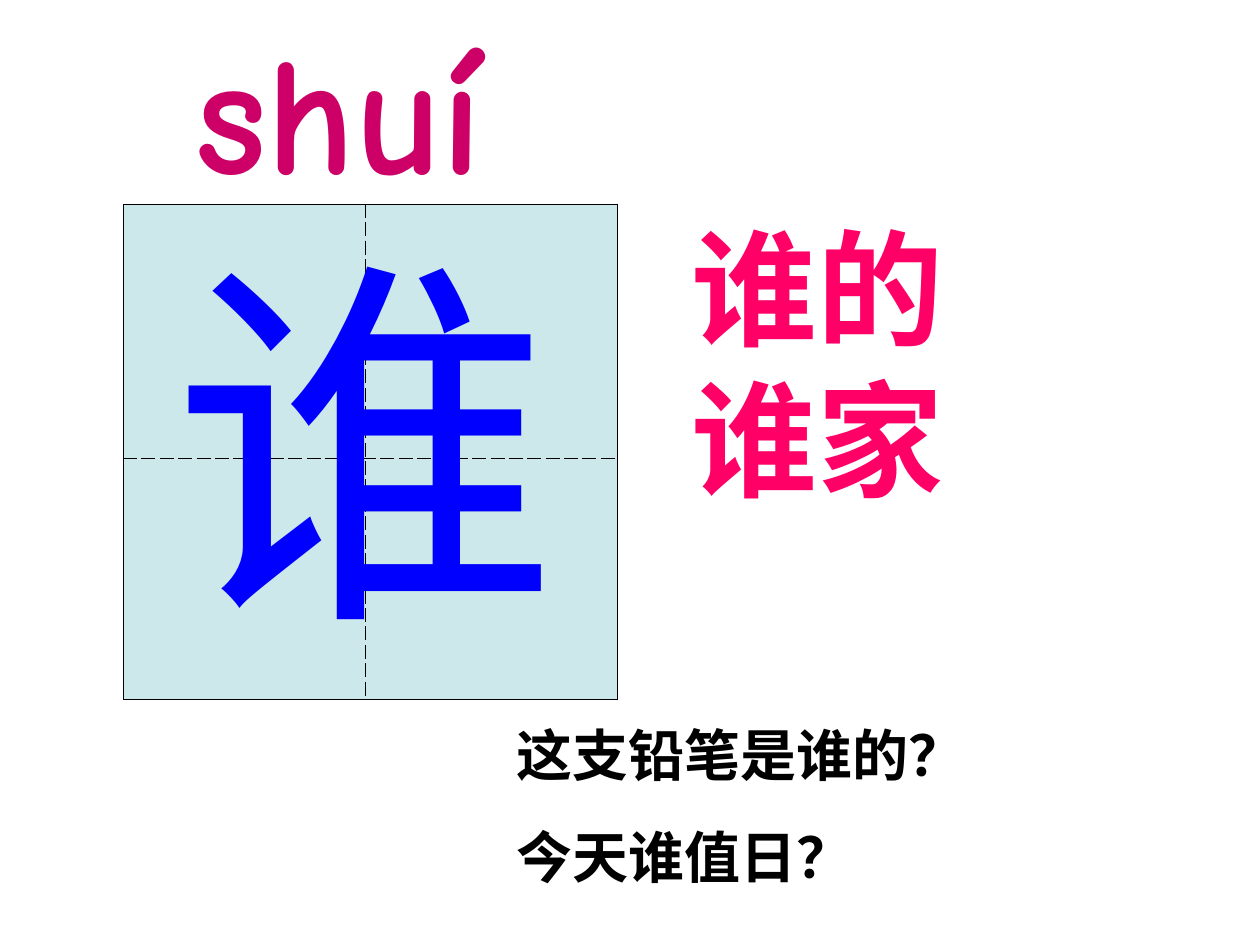
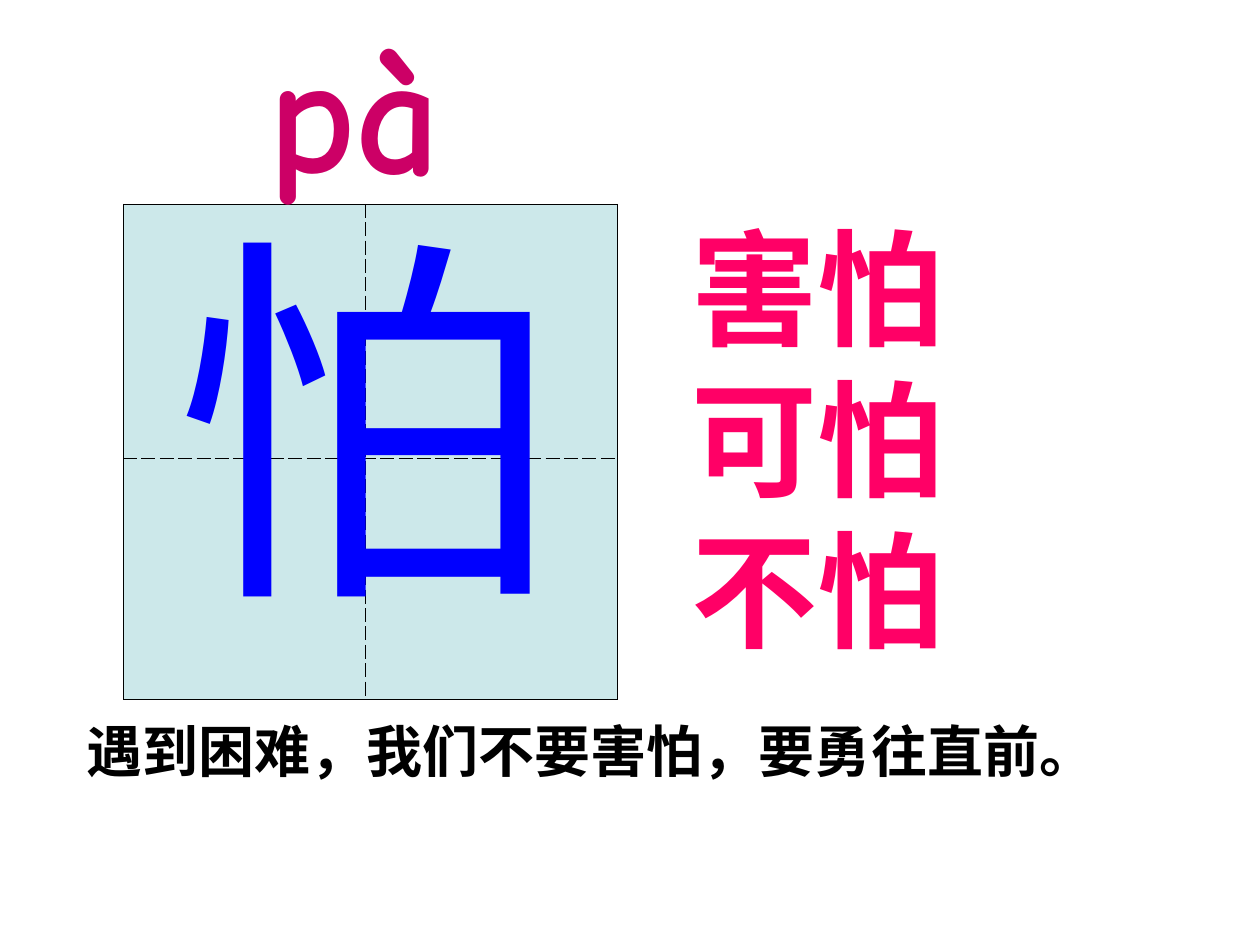
from lxml.etree import SubElement
from pptx import Presentation
from pptx.dml.color import RGBColor
from pptx.enum.lang import MSO_LANGUAGE_ID
from pptx.enum.text import MSO_ANCHOR, MSO_AUTO_SIZE, PP_ALIGN
from pptx.oxml import parse_xml
from pptx.oxml.ns import nsdecls, qn
from pptx.util import Pt

SCALE = 9144
HEX = {
    "cell": "CCE8EA",
    "line": "000000",
    "sound": "CC0066",
    "glyph": "0000FF",
    "word": "FF0066",
    "text": "000000",
}
COLS = (192, 200)
ROWS = (202, 191)


def px(size):
    return size * SCALE


def place(shape, left, top, width, height):
    shape.left, shape.top = px(left), px(top)
    shape.width, shape.height = px(width), px(height)


def write(shape, lines, size, color, face="Arial", bold=True, gap=0, wrap=True):
    frame = shape.text_frame
    frame.text = "\n".join(lines)
    frame.word_wrap = wrap
    frame.auto_size = MSO_AUTO_SIZE.NONE
    frame.vertical_anchor = MSO_ANCHOR.TOP
    for index, para in enumerate(frame.paragraphs):
        props = para._p.get_or_add_pPr()
        props.set("marL", "0")
        props.set("indent", "0")
        SubElement(props, qn("a:buNone"))
        para.alignment = PP_ALIGN.LEFT
        para.space_before = Pt(gap if index else 0)
        for run in para.runs:
            font = run.font
            font.size, font.bold, font.name = Pt(size), bold, face
            font.color.rgb = RGBColor.from_string(HEX[color])
            font.language_id = MSO_LANGUAGE_ID.SIMPLIFIED_CHINESE
            SubElement(run._r.rPr, qn("a:ea")).set("typeface", face)


def add_text(slide, box, lines, size, color, **style):
    shape = slide.shapes.add_textbox(*map(px, box))
    write(shape, lines, size, color, **style)


def edge(cell, sides):
    props = cell._tc.get_or_add_tcPr()
    for index, (side, dash) in enumerate(sides):
        line = parse_xml(
            f'<a:ln{side} {nsdecls("a")} w="5715"><a:solidFill>'
            f'<a:srgbClr val="{HEX["line"]}"/></a:solidFill>'
            f'<a:prstDash val="{dash}"/></a:ln{side}>'
        )
        props.insert(index, line)


def add_grid(slide):
    frame = slide.shapes.add_table(
        2, 2, px(98), px(162), px(sum(COLS)), px(sum(ROWS))
    )
    slide.shapes._spTree.insert(2, frame._element)
    table = frame.table
    table.first_row = table.horz_banding = False
    for col, width in zip(table.columns, COLS):
        col.width = px(width)
    style = ("solid", "dash")
    for y, height in enumerate(ROWS):
        table.rows[y].height = px(height)
        for x in range(len(COLS)):
            cell = table.cell(y, x)
            cell.fill.solid()
            cell.fill.fore_color.rgb = RGBColor.from_string(HEX["cell"])
            edge(cell, (("L", style[x]), ("R", style[1 - x]),
                        ("T", style[y]), ("B", style[1 - y])))


def add_card(deck, sound, left, glyph, top, words, lines, box):
    slide = deck.slides.add_slide(deck.slide_layouts[1])
    add_grid(slide)
    title, body = slide.shapes.title, slide.placeholders[1]
    place(title, left, 0, 430, 170)
    write(title, [sound], 96, "sound", face="Comic Neue")
    add_text(slide, (127, top, 325, 377), [glyph], 220, "glyph",
             bold=False, wrap=False)
    place(body, 539, 162, 425, 10 + 120 * len(words))
    write(body, words, 72, "word")
    add_text(slide, box, lines, 32, "text", gap=20)


def main():
    deck = Presentation()
    deck.slide_width, deck.slide_height = px(1000), px(750)
    add_card(deck, "shuí", 145, "谁", 157, ["谁的", "谁家"],
             ["这支铅笔是谁的？", "今天谁值日？"], (400, 567, 491, 145))
    add_card(deck, "pà", 203, "怕", 139, ["害怕", "可怕", "不怕"],
             ["遇到困难，我们不要害怕，要勇往直前。"], (59, 564, 941, 64))
    deck.save("out.pptx")


if __name__ == "__main__":
    main()
